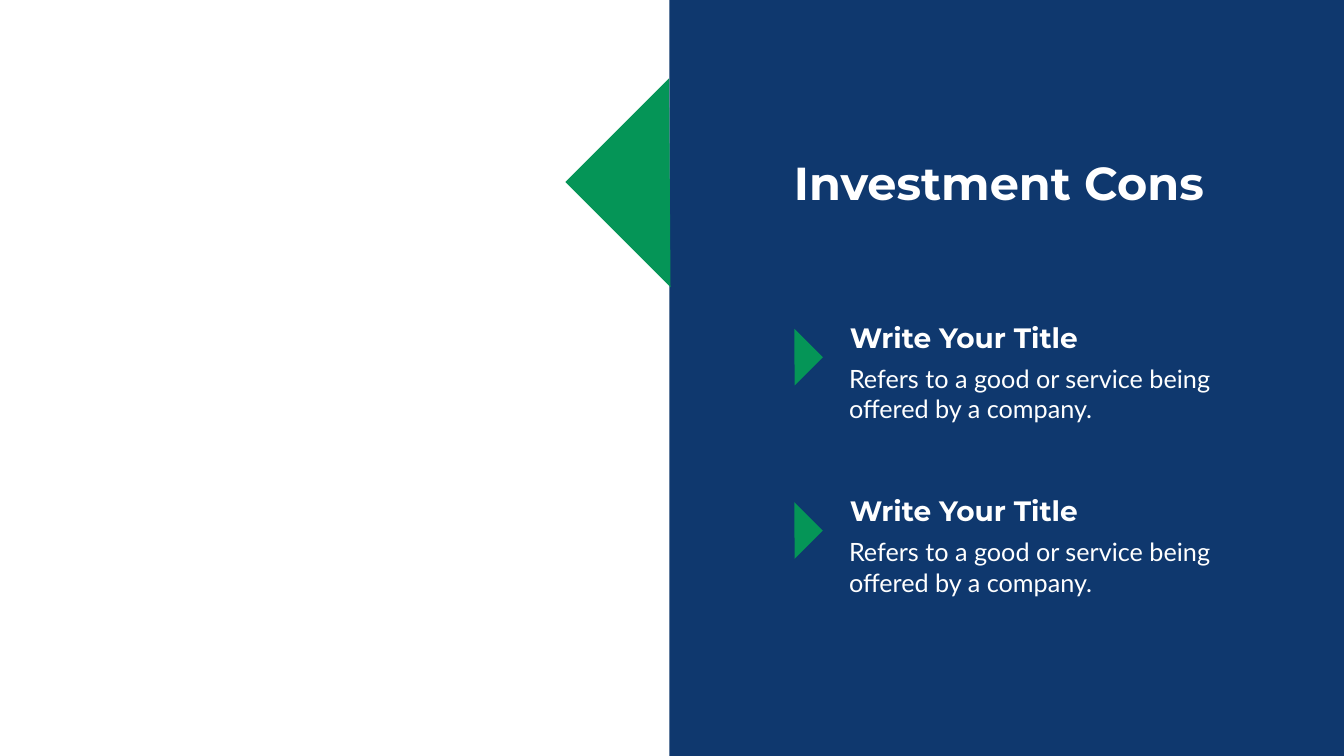
"""Build the investment cons slide with its blue panel and two marked points."""
from dataclasses import dataclass

from pptx import Presentation
from pptx.dml.color import RGBColor
from pptx.enum import shapes, text
from pptx.shapes.autoshape import Shape
from pptx.slide import Slide
from pptx.util import Inches, Pt

WIDTH, HEIGHT = Inches(26.66), Inches(15)
NAVY = RGBColor(0x0F, 0x38, 0x6E)
GREEN = RGBColor(0x05, 0x95, 0x57)
WHITE = RGBColor(0xFF, 0xFF, 0xFF)
RECTANGLE = shapes.MSO_SHAPE.RECTANGLE
TRIANGLE = shapes.MSO_SHAPE.RIGHT_TRIANGLE
FIRST_POINT, POINT_PITCH = 42.07, 22.93


@dataclass(frozen=True)
class Area:
    """Left, top, width and height in percent of the slide."""
    left: float
    top: float
    width: float
    height: float

    def lengths(self) -> tuple[int, int, int, int]:
        """Return the four lengths in slide units."""
        return (round(self.left * WIDTH / 100), round(self.top * HEIGHT / 100),
                round(self.width * WIDTH / 100), round(self.height * HEIGHT / 100))


@dataclass(frozen=True)
class Style:
    """Look of a text box, with its horizontal and vertical insets in inches."""
    font: str
    size: int
    bold: bool
    inset_x: float = 0.1
    inset_y: float = 0.05


@dataclass(frozen=True)
class Point:
    """A titled statement."""
    title: str
    body: str


HEADING = Style("Montserrat", 66, True)
POINT_TITLE = Style("Montserrat", 40, True)
POINT_BODY = Style("Lato", 36, False, 0.24, 0.12)
POINTS = [Point("Write Your Title",
                "Refers to a good or service being offered by a company.")] * 2


def add_block(page: Slide, kind: shapes.MSO_SHAPE, area: Area,
              color: RGBColor, rotation: float = 0) -> Shape:
    """Draw a plain filled shape."""
    block = page.shapes.add_shape(kind, *area.lengths())
    block.shadow.inherit = False
    block.fill.solid()
    block.fill.fore_color.rgb = color
    block.line.fill.background()
    block.rotation = rotation
    return block


def add_text(page: Slide, words: str, area: Area, style: Style) -> Shape:
    """Draw a white text box."""
    box = page.shapes.add_textbox(*area.lengths())
    frame = box.text_frame
    frame.word_wrap = True
    frame.auto_size = text.MSO_AUTO_SIZE.SHAPE_TO_FIT_TEXT
    frame.margin_left = frame.margin_right = Inches(style.inset_x)
    frame.margin_top = frame.margin_bottom = Inches(style.inset_y)
    span = frame.paragraphs[0].add_run()
    span.text = words
    span.font.name = style.font
    span.font.size = Pt(style.size)
    span.font.bold = style.bold
    span.font.color.rgb = WHITE
    return box


def add_point(page: Slide, point: Point, top: float) -> None:
    """Draw a point: body, title and arrow marker."""
    add_text(page, point.body, Area(62.27, top + 5.2, 29.93, 9.67), POINT_BODY)
    add_text(page, point.title, Area(62.87, top, 21.27, 5.13), POINT_TITLE)
    add_block(page, TRIANGLE, Area(57.61, top + 2.53, 3, 5.27), GREEN, 225)


def main() -> None:
    """Build and save the deck."""
    deck = Presentation()
    deck.slide_width, deck.slide_height = WIDTH, HEIGHT
    page = deck.slides.add_slide(deck.slide_layouts[6])
    page.background.fill.solid()
    page.background.fill.fore_color.rgb = WHITE
    add_block(page, RECTANGLE, Area(49.81, 0, 50.19, 100), NAVY)
    add_block(page, TRIANGLE, Area(44.3, 14.47, 11.07, 19.4), GREEN, 45)
    add_text(page, "Investment Cons", Area(58.7, 20.13, 31.73, 8.07), HEADING)
    for row, point in enumerate(POINTS):
        add_point(page, point, FIRST_POINT + row * POINT_PITCH)
    deck.save("out.pptx")


if __name__ == "__main__":
    main()
